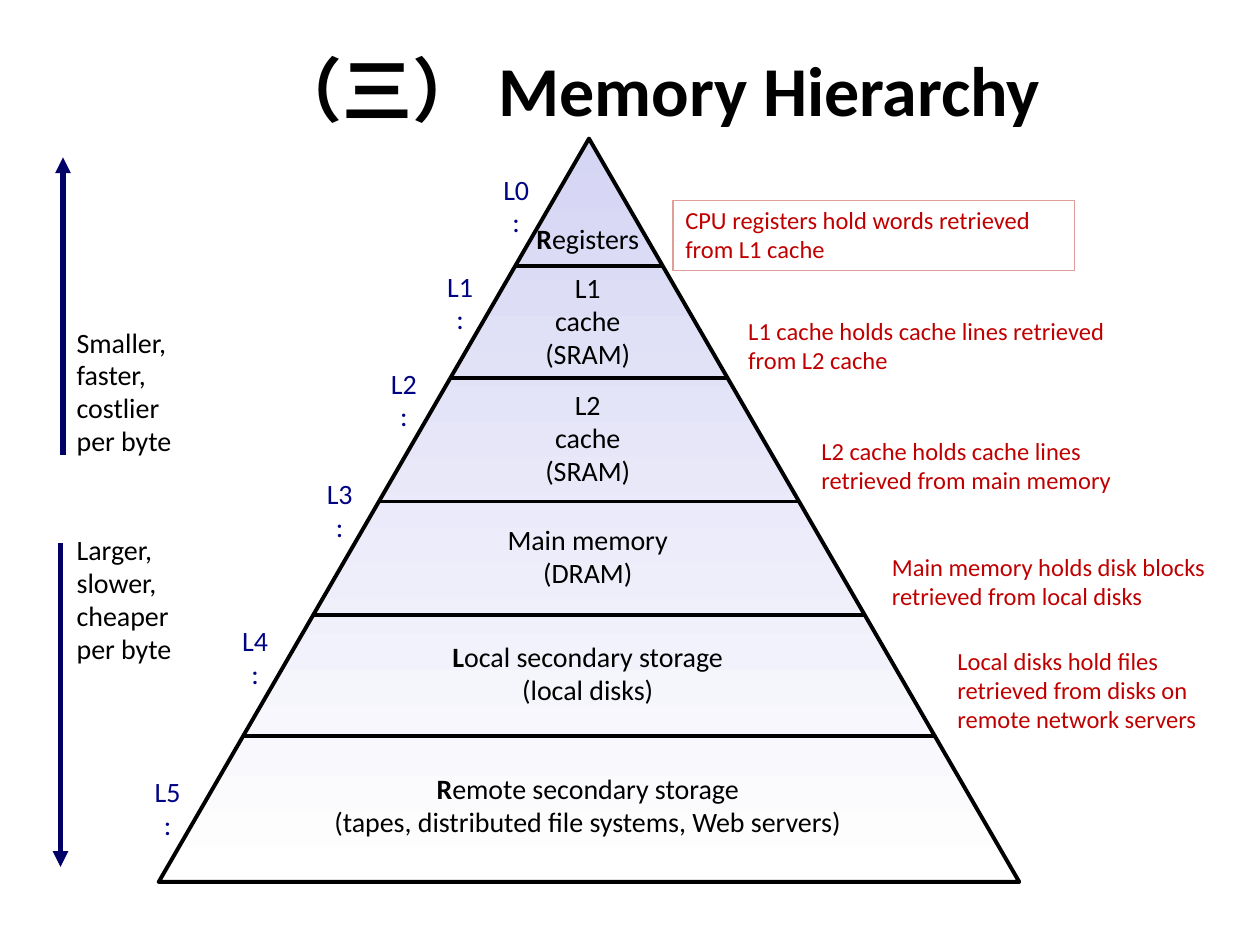
import pptx
import pptx.dml.color
import pptx.enum.shapes
import pptx.enum.text
import pptx.oxml
import pptx.util

COLUMNS, ROWS = 100, 75
SLIDE_WIDTH = pptx.util.Inches(10)
SLIDE_HEIGHT = pptx.util.Inches(7.5)

APEX_COLUMN, APEX_ROW = 46.75, 11
HALF_BASE, PYRAMID_ROWS = 34.15, 59
TEXT_COLUMN = 46.65
LABEL_GAP = 2.65

BLACK, NAVY, BLUE, RED = "000000", "000066", "000482", "C00000"
LEFT = pptx.enum.text.PP_ALIGN.LEFT
CENTER = pptx.enum.text.PP_ALIGN.CENTER

# name, bold, rest are kept as (bold start, lines), middle row, width, height
LEVELS = [
    ("R", ["Registers"], 19, 10.2, 3.6),
    ("", ["L1 cache", "(SRAM)"], 25.5, 9.7, 6.2),
    ("", ["L2 cache", "(SRAM)"], 34.8, 9.7, 6.2),
    ("", ["Main memory", "(DRAM)"], 44.2, 14.7, 6.2),
    ("L", ["Local secondary storage", "(local disks)"], 53.5, 23.6, 6.2),
    ("R", ["Remote secondary storage",
           "(tapes, distributed file systems, Web servers)"], 64, 42.5, 6.2),
]
LABEL_ROWS = [16.4, 24.1, 31.8, 40.6, 52.2, 64.2]
DIVIDER_ROWS = [21.1, 30, 39.8, 48.8, 58.4]
NOTES = [
    ("CPU registers hold words retrieved from L1 cache", 53.4, 15.9, 31.9, 5.6),
    ("L1 cache holds cache lines retrieved from L2 cache", 58.4, 24.7, 31, 5.6),
    ("L2 cache holds cache lines retrieved from main memory", 64.2, 34.2, 28.7, 5.6),
    ("Main memory holds disk blocks retrieved from local disks", 69.8, 43.4, 30, 5.6),
    ("Local disks hold files retrieved from disks on remote network servers",
     75, 50.9, 22.6, 7.9),
]
TRENDS = [
    (["Smaller,", "faster,", "costlier", "per byte"], 25.4, 5, 36.1, 12.5),
    (["Larger,", "slower,", "cheaper", "per byte"], 41.9, 4.8, 43.1, 68.8),
]


def color(code):
    return pptx.dml.color.RGBColor.from_string(code)


def across(columns):
    return round(SLIDE_WIDTH * columns / COLUMNS)


def down(rows):
    return round(SLIDE_HEIGHT * rows / ROWS)


def place(left, top, width, height):
    return across(left), down(top), across(width), down(height)


def set_attributes(target, values):
    for name, value in values.items():
        setattr(target, name, value)


def half_width(row):
    return HALF_BASE * (row - APEX_ROW) / PYRAMID_ROWS


def add_text(slide, box, lines, size, code, alignment=LEFT, wrap=True,
             bold_start="", bold=False, spacing=0.98):
    shape = slide.shapes.add_textbox(*place(*box))
    frame = shape.text_frame
    set_attributes(frame, {
        "word_wrap": wrap,
        "vertical_anchor": pptx.enum.text.MSO_ANCHOR.MIDDLE,
    })
    for index, line in enumerate(lines):
        paragraph = frame.add_paragraph() if index else frame.paragraphs[0]
        set_attributes(paragraph, {"alignment": alignment, "line_spacing": spacing})
        start = "" if index else bold_start
        for text, is_bold in ((start, True), (line[len(start):], bold)):
            if text:
                run = paragraph.add_run()
                run.text = text
                set_attributes(run.font, {
                    "name": "Calibri",
                    "size": pptx.util.Pt(size),
                    "bold": is_bold,
                })
                run.font.color.rgb = color(code)
    return shape


def add_line(slide, start, end, code, width, arrow=False):
    connector = slide.shapes.add_connector(
        pptx.enum.shapes.MSO_CONNECTOR.STRAIGHT,
        across(start[0]), down(start[1]), across(end[0]), down(end[1]))
    connector.line.color.rgb = color(code)
    connector.line.width = pptx.util.Pt(width)
    namespace = pptx.oxml.ns.nsdecls("a")
    if arrow:
        connector.line._get_or_add_ln().append(
            pptx.oxml.parse_xml(f'<a:tailEnd {namespace} type="triangle"/>'))
    connector._element.spPr.append(
        pptx.oxml.parse_xml(f"<a:effectLst {namespace}/>"))


def add_pyramid(slide):
    shape = slide.shapes.add_shape(
        pptx.enum.shapes.MSO_SHAPE.ISOSCELES_TRIANGLE,
        *place(APEX_COLUMN - HALF_BASE, APEX_ROW, 2 * HALF_BASE, PYRAMID_ROWS))
    shape.shadow.inherit = False
    shape.fill.gradient()
    shape.fill.gradient_angle = 270
    for stop, position, code in zip(shape.fill.gradient_stops, (0, 1),
                                    ("D5D5F4", "FFFFFF")):
        stop.position = position
        stop.color.rgb = color(code)
    shape.line.color.rgb = color(BLACK)
    shape.line.width = pptx.util.Pt(2.25)
    for row in DIVIDER_ROWS:
        half = half_width(row)
        add_line(slide, (APEX_COLUMN - half, row), (APEX_COLUMN + half, row), BLACK, 2)


def add_levels(slide):
    for number, (level, label_row) in enumerate(zip(LEVELS, LABEL_ROWS)):
        bold_start, lines, middle, width, height = level
        box = (TEXT_COLUMN - width / 2, middle - height / 2, width, height)
        add_text(slide, box, lines, 16, BLACK, CENTER, False, bold_start)
        label_column = APEX_COLUMN - half_width(label_row) - LABEL_GAP
        add_text(slide, (label_column - 2.3, label_row - 1.8, 4.6, 3.6),
                 [f"L{number}:"], 16, BLUE, CENTER, False)


def add_notes(slide):
    notes = [add_text(slide, box, [text], 14, RED) for text, *box in NOTES]
    notes[0].line.color.rgb = color("DF9F98")
    notes[0].line.width = pptx.util.Pt(0.75)


def add_trends(slide):
    for lines, top, column, start_row, end_row in TRENDS:
        add_line(slide, (column, start_row), (column, end_row), NAVY, 3, True)
        add_text(slide, (5.1, top, 9.8, 11.5), lines, 16, BLACK, wrap=False)


def main():
    presentation = pptx.Presentation()
    set_attributes(presentation, {
        "slide_width": SLIDE_WIDTH,
        "slide_height": SLIDE_HEIGHT,
    })
    slide = presentation.slides.add_slide(presentation.slide_layouts[6])
    add_text(slide, (4.4, 2.7, 95.4, 8.6), ["（三） Memory Hierarchy"],
             40, BLACK, CENTER, bold=True, spacing=1)
    add_pyramid(slide)
    add_levels(slide)
    add_notes(slide)
    add_trends(slide)
    presentation.save("out.pptx")


if __name__ == "__main__":
    main()
